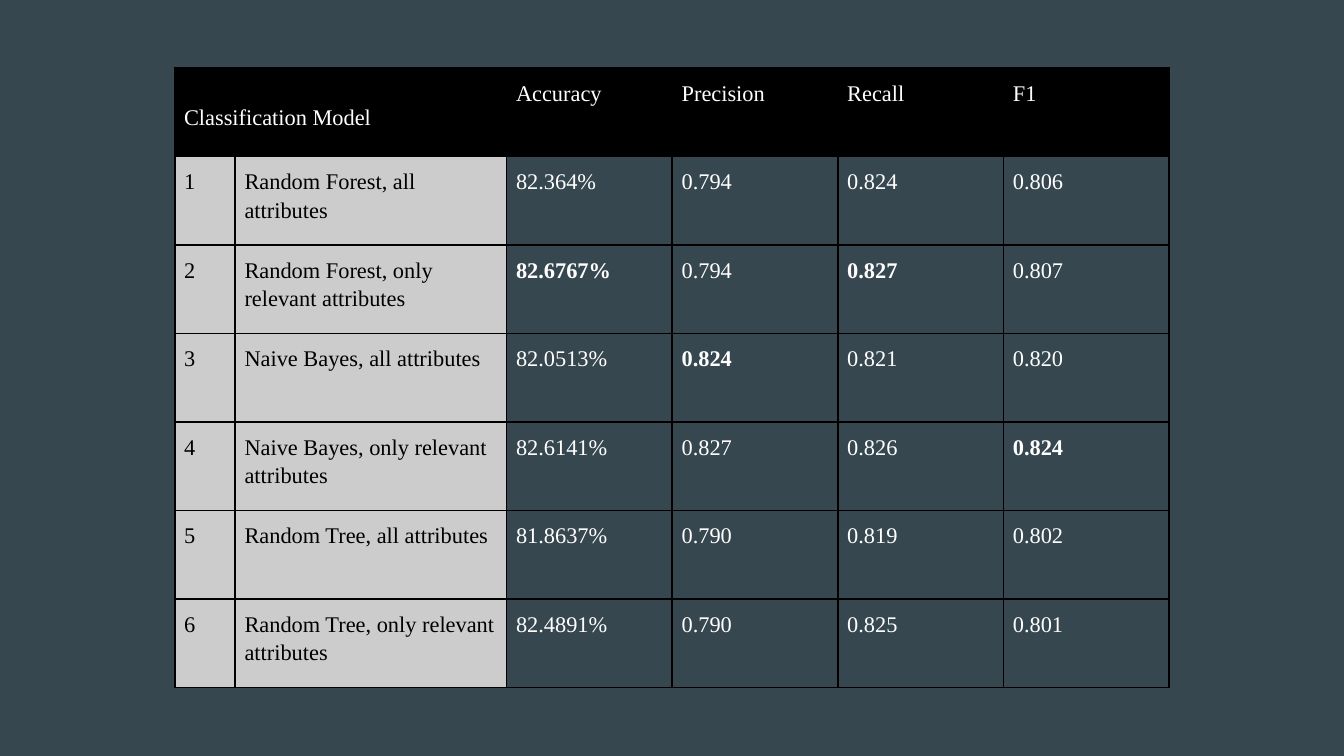
"""Build a slide with a table comparing classification models."""
from lxml.etree import SubElement
from pptx import Presentation
from pptx.dml.color import RGBColor
from pptx.oxml.ns import qn
from pptx.util import Inches, Pt

SLATE = RGBColor(0x37, 0x47, 0x4F)
BLACK = RGBColor(0x00, 0x00, 0x00)
WHITE = RGBColor(0xFF, 0xFF, 0xFF)
SILVER = RGBColor(0xCC, 0xCC, 0xCC)

MEASURES = ["Accuracy", "Precision", "Recall", "F1"]
RESULTS = [
    ("Random Forest, all attributes", "82.364%", "0.794", "0.824", "0.806"),
    ("Random Forest, only relevant attributes", "82.6767%", "0.794", "0.827", "0.807"),
    ("Naive Bayes, all attributes", "82.0513%", "0.824", "0.821", "0.820"),
    ("Naive Bayes, only relevant attributes", "82.6141%", "0.827", "0.826", "0.824"),
    ("Random Tree, all attributes", "81.8637%", "0.790", "0.819", "0.802"),
    ("Random Tree, only relevant attributes", "82.4891%", "0.790", "0.825", "0.801"),
]
HIGHLIGHTS = {(2, 2), (2, 4), (3, 3), (4, 5)}
TABLE_WIDTH_SHARE, TABLE_HEIGHT_SHARE = 0.74, 0.82
LABEL_WIDTHS = [Inches(0.45), Inches(2.02)]


class ModelSlide:
    """Hold the style and the current slide."""

    font_name = "Times New Roman"
    font_size = Pt(12)
    line_spacing = 1.15
    inset = Inches(0.07)
    border_width = Pt(1)

    def __init__(self, presentation, background):
        self.width = presentation.slide_width
        self.height = presentation.slide_height
        self.slide = presentation.slides.add_slide(presentation.slide_layouts[6])
        self.slide.background.fill.solid()
        self.slide.background.fill.fore_color.rgb = background

    def table(self, row_count, label_widths, measure_count, width_share, height_share):
        """Add a centred table with equal rows and equal measure columns."""
        width = round(self.width * width_share)
        height = round(self.height * height_share)
        left, top = (self.width - width) // 2, (self.height - height) // 2
        measure_width = (width - sum(label_widths)) // measure_count
        column_widths = label_widths + [measure_width] * measure_count
        table = self.slide.shapes.add_table(
            row_count, len(column_widths), left, top, width, height
        ).table
        table.first_row = table.horz_banding = False
        for column, column_width in zip(table.columns, column_widths):
            column.width = column_width
        return table

    def borders(self, cell):
        """Draw a solid black line on each side of a cell."""
        properties = cell._tc.get_or_add_tcPr()
        for side in ("a:lnL", "a:lnR", "a:lnT", "a:lnB"):
            line = SubElement(properties, qn(side), w=str(self.border_width))
            fill = SubElement(line, qn("a:solidFill"))
            SubElement(fill, qn("a:srgbClr"), val=str(BLACK))

    def cell(self, cell, text, color, fill=None, bold=False):
        """Write and format one table cell."""
        self.borders(cell)
        if fill is None:
            cell.fill.background()
        else:
            cell.fill.solid()
            cell.fill.fore_color.rgb = fill
        cell.margin_left = cell.margin_right = self.inset
        cell.margin_top = cell.margin_bottom = self.inset
        cell.text = text
        paragraph = cell.text_frame.paragraphs[0]
        paragraph.line_spacing = self.line_spacing
        paragraph.font.name = self.font_name
        paragraph.font.size = self.font_size
        paragraph.font.bold = bold
        paragraph.font.color.rgb = color


def main():
    """Build and save the presentation."""
    presentation = Presentation()
    presentation.slide_width = Inches(10)
    presentation.slide_height = presentation.slide_width * 9 // 16
    page = ModelSlide(presentation, SLATE)
    comparison = page.table(len(RESULTS) + 1, LABEL_WIDTHS, len(MEASURES),
                            TABLE_WIDTH_SHARE, TABLE_HEIGHT_SHARE)

    for column, heading in enumerate(["Classification Model", ""] + MEASURES):
        page.cell(comparison.cell(0, column), heading, WHITE, BLACK)
    model_heading = comparison.cell(0, 0)
    model_heading.merge(comparison.cell(0, 1))
    model_heading.margin_top = Inches(0.25)

    for row, result in enumerate(RESULTS, start=1):
        for column, value in enumerate((str(row), *result)):
            color, fill = (BLACK, SILVER) if column < 2 else (WHITE, None)
            page.cell(comparison.cell(row, column), value, color, fill,
                      bold=(row, column) in HIGHLIGHTS)

    presentation.save("out.pptx")


if __name__ == "__main__":
    main()
